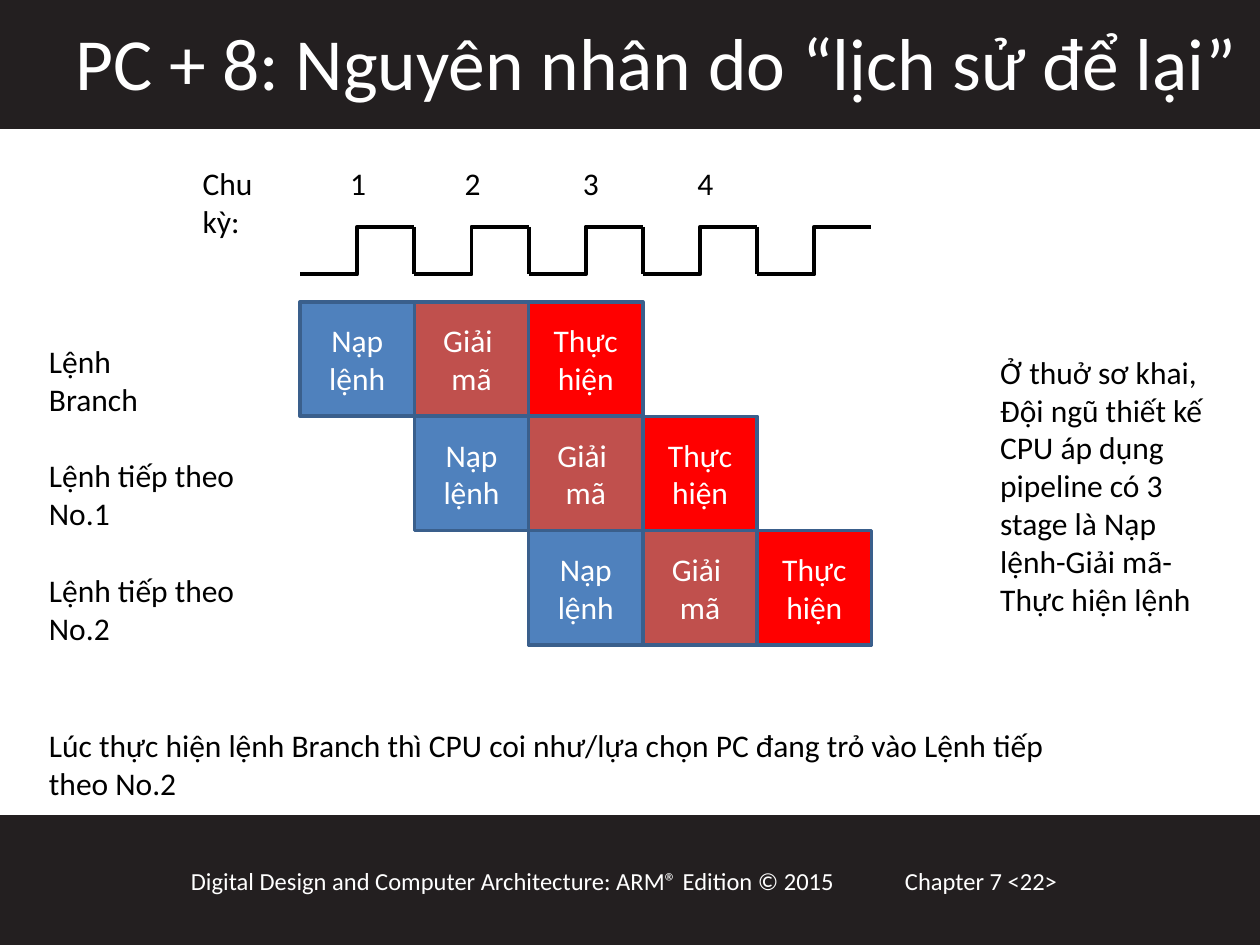
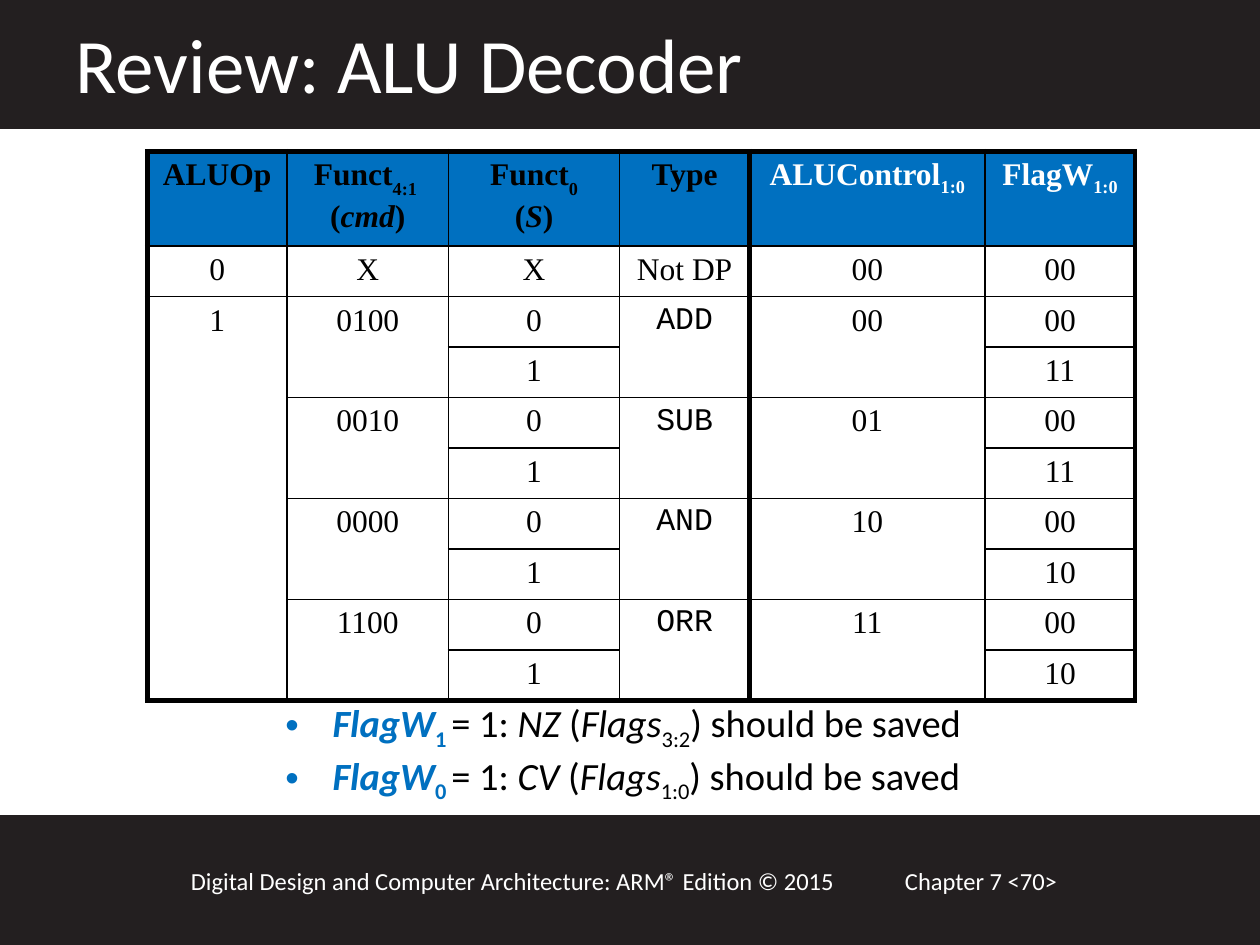
import pptx
import pptx.util
import pptx.dml.color
import pptx.enum.shapes
import pptx.enum.text
import pptx.oxml
import pptx.oxml.ns
import lxml.etree

Pt = pptx.util.Pt
RGB = pptx.dml.color.RGBColor
qn = pptx.oxml.ns.qn
RECT = pptx.enum.shapes.MSO_SHAPE.RECTANGLE
CONNECTOR = pptx.enum.shapes.MSO_CONNECTOR
CENTER = pptx.enum.text.PP_ALIGN.CENTER
MIDDLE = pptx.enum.text.MSO_ANCHOR.MIDDLE

DARK = RGB(0x23, 0x1F, 0x20)
WHITE = RGB(0xFF, 0xFF, 0xFF)
BLACK = RGB(0x00, 0x00, 0x00)
BLUE = RGB(0x00, 0x70, 0xC0)
FETCH = RGB(0x4F, 0x81, 0xBD)
DECODE = RGB(0xC0, 0x50, 0x4D)
EXECUTE = RGB(0xFF, 0x00, 0x00)
OUTLINE = RGB(0x3A, 0x5F, 0x8C)


def add_runs(p, runs, size, color=BLACK, font="Calibri"):
    for text, style in runs:
        if text == "\n":
            p.add_line_break()
            continue
        r = p.add_run()
        r.text = text
        r.font.name = font
        r.font.size = Pt(size)
        r.font.color.rgb = style.get("color", color)
        r.font.bold = style.get("bold", False)
        r.font.italic = style.get("italic", False)
        if "base" in style:
            r.font._element.set("baseline", str(style["base"] * 1000))


def add_text(s, x, y, w, h, lines, size=18, color=BLACK):
    tf = s.shapes.add_textbox(Pt(x), Pt(y), Pt(w), Pt(h)).text_frame
    tf.word_wrap = True
    for i, line in enumerate(lines):
        p = tf.add_paragraph() if i else tf.paragraphs[0]
        add_runs(p, [(line, {})], size, color)


prs = pptx.Presentation()
prs.slide_width, prs.slide_height = Pt(720), Pt(540)

slides = []
for title, title_size, number in [
    ("PC + 8: Nguyên nhân do “lịch sử để lại”", 42, 22),
    ("Review: ALU Decoder", 44, 70),
]:
    s = prs.slides.add_slide(prs.slide_layouts[6])
    for y in (466.5, 0):
        sp = s.shapes.add_shape(RECT, 0, Pt(y), Pt(720), Pt(72.5))
        sp.shadow.inherit = False
        sp.fill.solid()
        sp.fill.fore_color.rgb = DARK
        sp.line.color.rgb = DARK
        sp.line.width = Pt(2)
    add_text(s, 510, 491.5, 156, 24, [f"Chapter 7 <{number}>"], 14, WHITE)
    add_text(s, 102, 491.5, 414, 24,
             ["Digital Design and Computer Architecture: ARM® Edition © 2015"], 14, WHITE)
    add_text(s, 36, 6, 696, 60, [title], title_size, WHITE)
    slides.append(s)

s = slides[0]
LEFT, TOP, STEP = 171.5, 172.6, 65.3
CLOCK_HIGH, CLOCK_LOW = 129.6, 156.8
STAGES = [
    ([("Nạp lệnh", {})], FETCH),
    ([("Giải ", {}), ("\n", {}), ("mã", {})], DECODE),
    ([("Thực hiện", {})], EXECUTE),
]
for row in range(3):
    for col, (runs, fill) in enumerate(STAGES):
        sp = s.shapes.add_shape(RECT, Pt(LEFT + (row + col) * STEP), Pt(TOP + row * STEP),
                                Pt(STEP), Pt(STEP))
        sp.shadow.inherit = False
        sp.fill.solid()
        sp.fill.fore_color.rgb = fill
        sp.line.color.rgb = OUTLINE
        sp.line.width = Pt(2)
        tf = sp.text_frame
        tf.word_wrap = True
        tf.vertical_anchor = MIDDLE
        p = tf.paragraphs[0]
        p.alignment = CENTER
        add_runs(p, runs, 18, WHITE)

edges = [LEFT + i * STEP for i in range(6)]
clock = [(CONNECTOR.ELBOW, a, CLOCK_LOW, b, CLOCK_HIGH) for a, b in zip(edges, edges[1:])]
clock += [(CONNECTOR.STRAIGHT, x, CLOCK_HIGH, x, CLOCK_LOW) for x in edges[1:5]]
for kind, x1, y1, x2, y2 in clock:
    cn = s.shapes.add_connector(kind, Pt(x1), Pt(y1), Pt(x2), Pt(y2))
    cn.line.color.rgb = BLACK
    cn.line.width = Pt(2.25)
    lxml.etree.SubElement(cn._element.spPr, qn("a:effectLst"))

add_text(s, 108.7, 90, 62.6, 27, ["Chu kỳ:"])
for cycle, x in enumerate((193, 258.5, 326, 391.5), 1):
    add_text(s, x, 90, 22, 27, [str(cycle)])
for i, (label, w) in enumerate([
    ("Lệnh Branch", 98.6), ("Lệnh tiếp theo No.1", 150.5), ("Lệnh tiếp theo No.2", 150.5),
]):
    add_text(s, 20.9, 192 + i * STEP, w, 27, [label])
add_text(s, 20.9, 411.2, 611, 27,
         ["Lúc thực hiện lệnh Branch thì CPU coi như/lựa chọn PC đang trỏ vào Lệnh tiếp theo No.2"])
add_text(s, 564.5, 198, 134.6, 145.5, [
    "Ở thuở sơ khai,",
    "Đội ngũ thiết kế CPU áp dụng pipeline có 3 stage là Nạp lệnh-Giải mã-Thực hiện lệnh",
])

s = slides[1]
SUB = {"base": -25}
HEAD = {"bold": True}
HEAD_SUB = {"bold": True, "base": -30}
HEAD_ITALIC = {"bold": True, "italic": True}
OUT = {"bold": True, "color": WHITE}
OUT_SUB = {"bold": True, "color": WHITE, "base": -25}
HEADERS = [
    [[("ALUOp", HEAD)]],
    [[("Funct", HEAD), ("4:1 ", HEAD_SUB)], [("(", HEAD), ("cmd", HEAD_ITALIC), (")", HEAD)]],
    [[("Funct", HEAD), ("0", HEAD_SUB)], [("(", HEAD), ("S", HEAD_ITALIC), (")", HEAD)]],
    [[("Type", HEAD)]],
    [[("ALUControl", OUT), ("1:0", OUT_SUB)]],
    [[("FlagW", OUT), ("1:0", OUT_SUB)]],
]
rows = [["0", "X", "X", "Not DP", "00", "00"]]
for cmd, name, control, flags in [
    ("0100", "ADD", "00", "11"), ("0010", "SUB", "01", "11"),
    ("0000", "AND", "10", "10"), ("1100", "ORR", "11", "10"),
]:
    rows.append(["1", cmd, "0", name, control, "00"])
    rows.append(["", "", "1", "", "", flags])
cells = HEADERS, *[[[[(text, {})]] for text in row] for row in rows]

widths = [79.9, 92.2, 97.9, 74.2, 134.6, 85.7]
heights = [54] + [28.85] * 9
tbl = s.shapes.add_table(10, 6, Pt(84.2), Pt(86.4), Pt(sum(widths)), Pt(sum(heights))).table
tbl.first_row = tbl.horz_banding = False
for col, w in zip(tbl.columns, widths):
    col.width = Pt(w)
for row, h in zip(tbl.rows, heights):
    row.height = Pt(h)
tbl.cell(2, 0).merge(tbl.cell(9, 0))
for top in range(2, 10, 2):
    for c in (1, 3, 4):
        tbl.cell(top, c).merge(tbl.cell(top + 1, c))

for r_i, row in enumerate(cells):
    for c_i, lines in enumerate(row):
        cell = tbl.cell(r_i, c_i)
        if cell.is_spanned:
            continue
        bottom = r_i + (cell.span_height if cell.is_merge_origin else 1)
        tcPr = cell._tc.get_or_add_tcPr()
        for side, thick in [("L", c_i in (0, 4)), ("R", c_i in (3, 5)),
                            ("T", r_i == 0), ("B", bottom == 10)]:
            tcPr.append(pptx.oxml.parse_xml(
                f'<a:ln{side} xmlns:a="http://schemas.openxmlformats.org/drawingml/2006/main"'
                f' w="{Pt(3 if thick else 1)}"><a:solidFill><a:srgbClr val="{BLACK}"/>'
                f'</a:solidFill></a:ln{side}>'))
        if r_i == 0:
            cell.fill.solid()
            cell.fill.fore_color.rgb = BLUE
        else:
            cell.fill.background()
        font = "Courier New" if c_i == 3 and r_i > 1 else "Times New Roman"
        for i, runs in enumerate(lines):
            p = cell.text_frame.add_paragraph() if i else cell.text_frame.paragraphs[0]
            p.alignment = CENTER
            pPr = p._p.get_or_add_pPr()
            pPr.set("marL", str(Pt(27)))
            pPr.set("indent", str(-Pt(27)))
            add_runs(p, runs, 18, BLACK, font)

tf = s.shapes.add_textbox(Pt(120), Pt(396), Pt(498), Pt(87)).text_frame
tf.word_wrap = True
ITALIC = {"italic": True}
for i, (bit, pair, span) in enumerate([("1 ", "NZ", "3:2"), ("0 ", "CV", "1:0")]):
    p = tf.add_paragraph() if i else tf.paragraphs[0]
    p.level = 1
    pPr = p._p.get_or_add_pPr()
    pPr.set("marL", str(Pt(63)))
    pPr.set("indent", str(-Pt(27)))
    lxml.etree.SubElement(pPr, qn("a:buFont")).set("typeface", "Arial")
    lxml.etree.SubElement(pPr, qn("a:buChar")).set("char", "•")
    add_runs(p, [
        ("FlagW", {"color": BLUE, "bold": True, "italic": True}),
        (bit, {"color": BLUE, "bold": True, "base": -25}),
        ("= 1: ", {}), (pair, ITALIC), (" (", {}), ("Flags", ITALIC),
        (span, SUB), (") should be saved", {}),
    ], 22)

prs.save("out.pptx")
